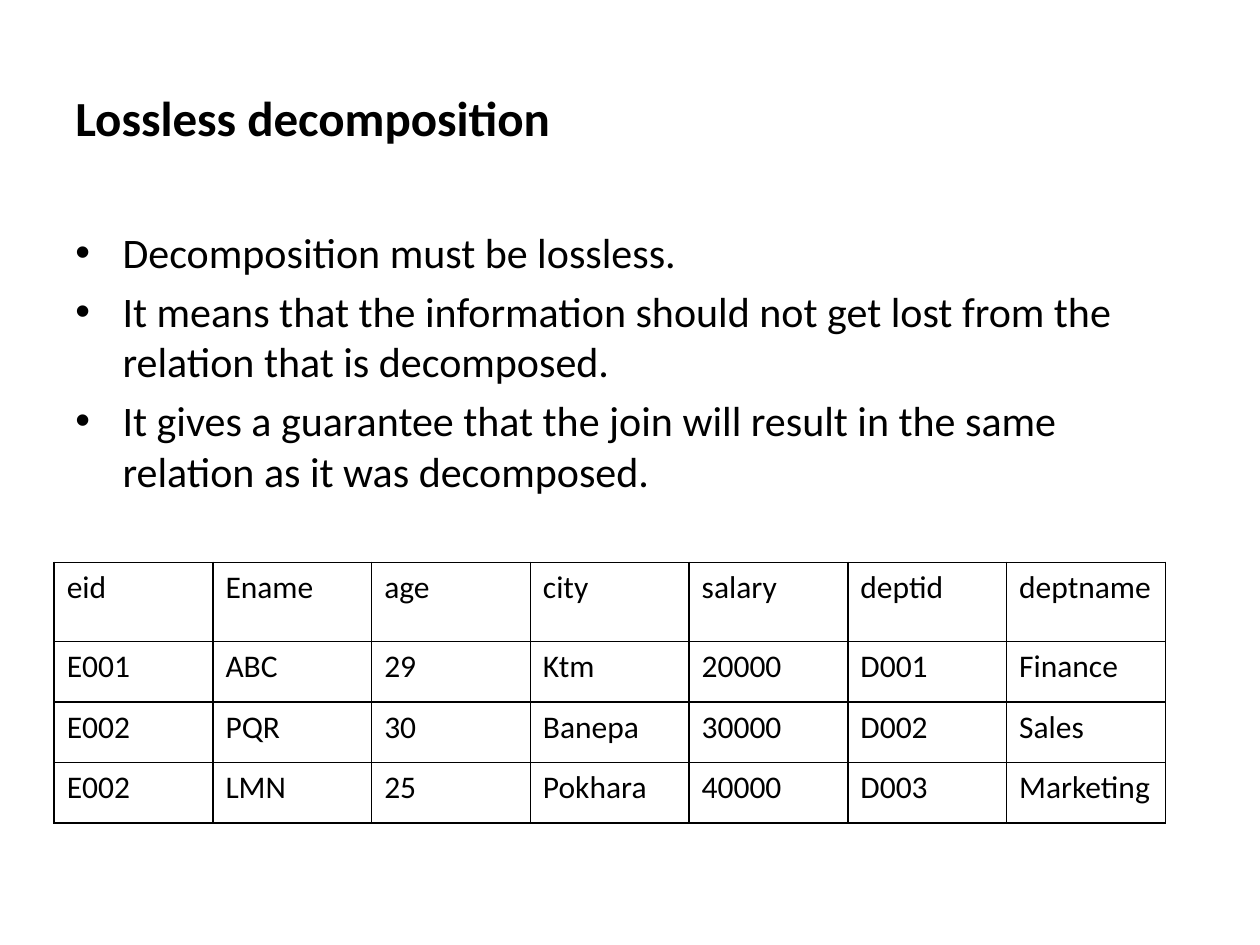
from dataclasses import dataclass

from lxml.etree import SubElement
from pptx import Presentation
from pptx.dml.color import RGBColor
from pptx.enum.text import MSO_ANCHOR
from pptx.oxml.ns import qn
from pptx.util import Inches, Pt


@dataclass(frozen=True)
class Theme:
    font: str = "Calibri"
    ink: str = "000000"
    head: int = 28
    body: int = 24
    cell: int = 18
    rule: float = 1


@dataclass(frozen=True)
class Box:
    """Place on the slide, as shares of its width and height."""
    left: float
    top: float
    width: float
    height: float

    def place(self) -> tuple:
        return (Inches(self.left * WIDE), Inches(self.top * HIGH),
                Inches(self.width * WIDE), Inches(self.height * HIGH))


@dataclass(frozen=True)
class Grid:
    box: Box
    rows: tuple
    first: float
    other: float


WIDE, HIGH = 10, 7.5
THEME = Theme()
INDENT = Inches(0.375)

TITLE = Box(0.05, 0.04, 0.9, 1 / 6)
BODY = Box(0.05, 7 / 30, 0.9, 0.66)
POINTS = (
    "Decomposition must be lossless.",
    "It means that the information should not get lost from the relation "
    "that is decomposed.",
    "It gives a guarantee that the join will result in the same relation "
    "as it was decomposed.",
)
STAFF = Grid(
    Box(0.043, 0.595, 0.882, 0.277),
    (
        ("eid", "Ename", "age", "city", "salary", "deptid", "deptname"),
        ("E001", "ABC", "29", "Ktm", "20000", "D001", "Finance"),
        ("E002", "PQR", "30", "Banepa", "30000", "D002", "Sales"),
        ("E002", "LMN", "25", "Pokhara", "40000", "D003", "Marketing"),
    ),
    first=0.63,
    other=0.48,
)


def write(para, text: str, size: int, bold: bool = False) -> None:
    run = para.add_run()
    run.text = text
    run.font.name = THEME.font
    run.font.size = Pt(size)
    run.font.bold = bold
    run.font.color.rgb = RGBColor.from_string(THEME.ink)


def add_frame(slide, box: Box, anchor: MSO_ANCHOR):
    frame = slide.shapes.add_textbox(*box.place()).text_frame
    frame.word_wrap = True
    frame.vertical_anchor = anchor
    return frame


def add_bullet(para) -> None:
    para.space_before = Pt(0.2 * THEME.body)
    props = para._p.get_or_add_pPr()
    props.set("marL", str(INDENT))
    props.set("indent", str(-INDENT))
    SubElement(props, qn("a:buFont"), typeface="Arial")
    SubElement(props, qn("a:buChar"), char="•")


def add_rules(cell) -> None:
    props = cell._tc.get_or_add_tcPr()
    for side in ("lnL", "lnR", "lnT", "lnB"):
        line = SubElement(props, qn(f"a:{side}"), w=str(Pt(THEME.rule)))
        fill = SubElement(line, qn("a:solidFill"))
        SubElement(fill, qn("a:srgbClr"), val=THEME.ink)


def add_grid(slide, grid: Grid) -> None:
    count = len(grid.rows[0])
    table = slide.shapes.add_table(
        len(grid.rows), count, *grid.box.place()).table
    table.first_row = table.horz_banding = False
    for col in table.columns:
        col.width = Inches(grid.box.width * WIDE / count)
    for r, texts in enumerate(grid.rows):
        table.rows[r].height = Inches(grid.other if r else grid.first)
        for c, text in enumerate(texts):
            cell = table.cell(r, c)
            add_rules(cell)
            cell.fill.background()
            write(cell.text_frame.paragraphs[0], text, THEME.cell)


def main() -> None:
    deck = Presentation()
    deck.slide_width, deck.slide_height = Inches(WIDE), Inches(HIGH)
    slide = deck.slides.add_slide(deck.slide_layouts[6])

    # Title
    head = add_frame(slide, TITLE, MSO_ANCHOR.MIDDLE)
    write(head.paragraphs[0], "Lossless decomposition", THEME.head, bold=True)

    # Bullet points
    body = add_frame(slide, BODY, MSO_ANCHOR.TOP)
    for i, text in enumerate(POINTS):
        para = body.add_paragraph() if i else body.paragraphs[0]
        add_bullet(para)
        write(para, text, THEME.body)

    # Staff table
    add_grid(slide, STAFF)
    deck.save("out.pptx")


if __name__ == "__main__":
    main()
